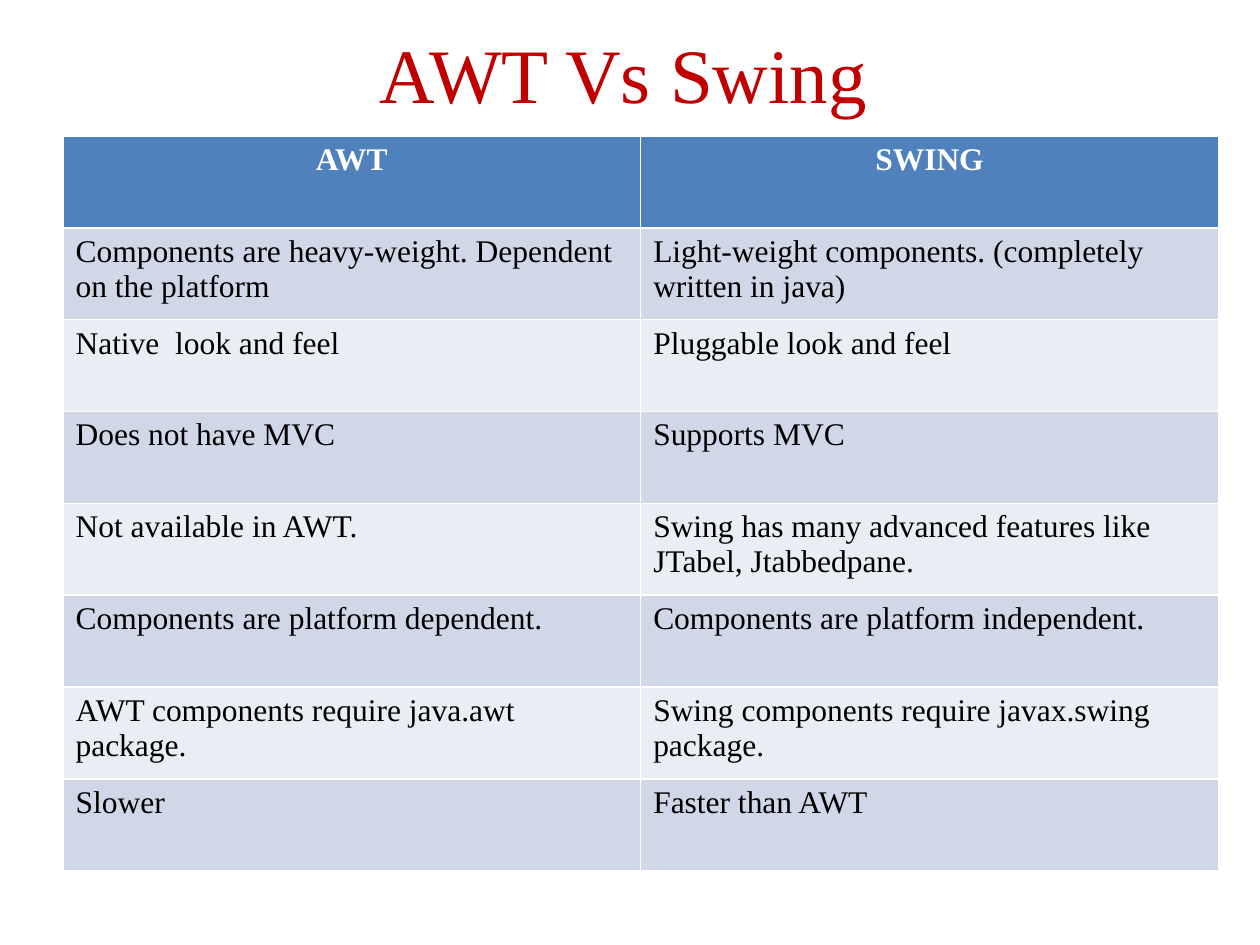
import pptx
import pptx.util
import pptx.dml.color
import pptx.enum.text
from pptx.util import Inches

TITLE = "AWT Vs Swing "
HEAD = ("AWT", "SWING")
ROWS = [
    ("Components are heavy-weight. Dependent on the platform",
     "Light-weight components. (completely written in java)"),
    ("Native  look and feel", "Pluggable look and feel"),
    ("Does not have MVC", "Supports MVC"),
    ("Not available in AWT.",
     "Swing has many advanced features like JTabel, Jtabbedpane."),
    ("Components are platform dependent.",
     "Components are platform independent."),
    ("AWT components require java.awt package.",
     "Swing components require javax.swing package."),
    ("Slower", "Faster than AWT"),
]

THEME = {
    "font": "Times New Roman",
    "title": "C00000", "head": "FFFFFF", "body": "000000",
    "head_fill": "4F81BD", "bands": ("D0D8E8", "E9EDF4"),
    "title_size": 44, "cell_size": 18,
}
ALIGN = pptx.enum.text.PP_ALIGN
ANCHOR = pptx.enum.text.MSO_ANCHOR


def rgb(code):
    return pptx.dml.color.RGBColor.from_string(code)


def write(frame, text, size, color, bold=False, align=ALIGN.LEFT):
    para = frame.paragraphs[0]
    para.alignment = align
    run = para.add_run()
    run.text = text
    run.font.name = THEME["font"]
    run.font.size = pptx.util.Pt(size)
    run.font.bold = bold
    run.font.color.rgb = rgb(color)


def add_title(slide):
    title = slide.shapes.title
    title.left, title.top = Inches(0.55), Inches(0)
    title.width, title.height = Inches(8.95), Inches(1.15)
    title.text_frame.word_wrap = True
    title.text_frame.vertical_anchor = ANCHOR.MIDDLE
    write(title.text_frame, TITLE, THEME["title_size"], THEME["title"],
          align=ALIGN.CENTER)


def add_grid(slide):
    """Place the comparison table; its default style draws the white rules."""
    lines = [HEAD] + ROWS
    table = slide.shapes.add_table(
        len(lines), len(HEAD), Inches(0.5), Inches(1.08),
        Inches(9.17), Inches(5.83)).table
    for r, line in enumerate(lines):
        top = r == 0
        fill = THEME["head_fill"] if top else THEME["bands"][(r - 1) % 2]
        for c, text in enumerate(line):
            cell = table.cell(r, c)
            cell.fill.solid()
            cell.fill.fore_color.rgb = rgb(fill)
            write(cell.text_frame, text, THEME["cell_size"],
                  THEME["head" if top else "body"], bold=top,
                  align=ALIGN.CENTER if top else ALIGN.LEFT)


def main():
    deck = pptx.Presentation()
    deck.slide_width, deck.slide_height = Inches(10), Inches(7.5)
    slide = deck.slides.add_slide(deck.slide_layouts.get_by_name("Title Only"))
    add_title(slide)
    add_grid(slide)
    deck.save("out.pptx")


if __name__ == "__main__":
    main()
